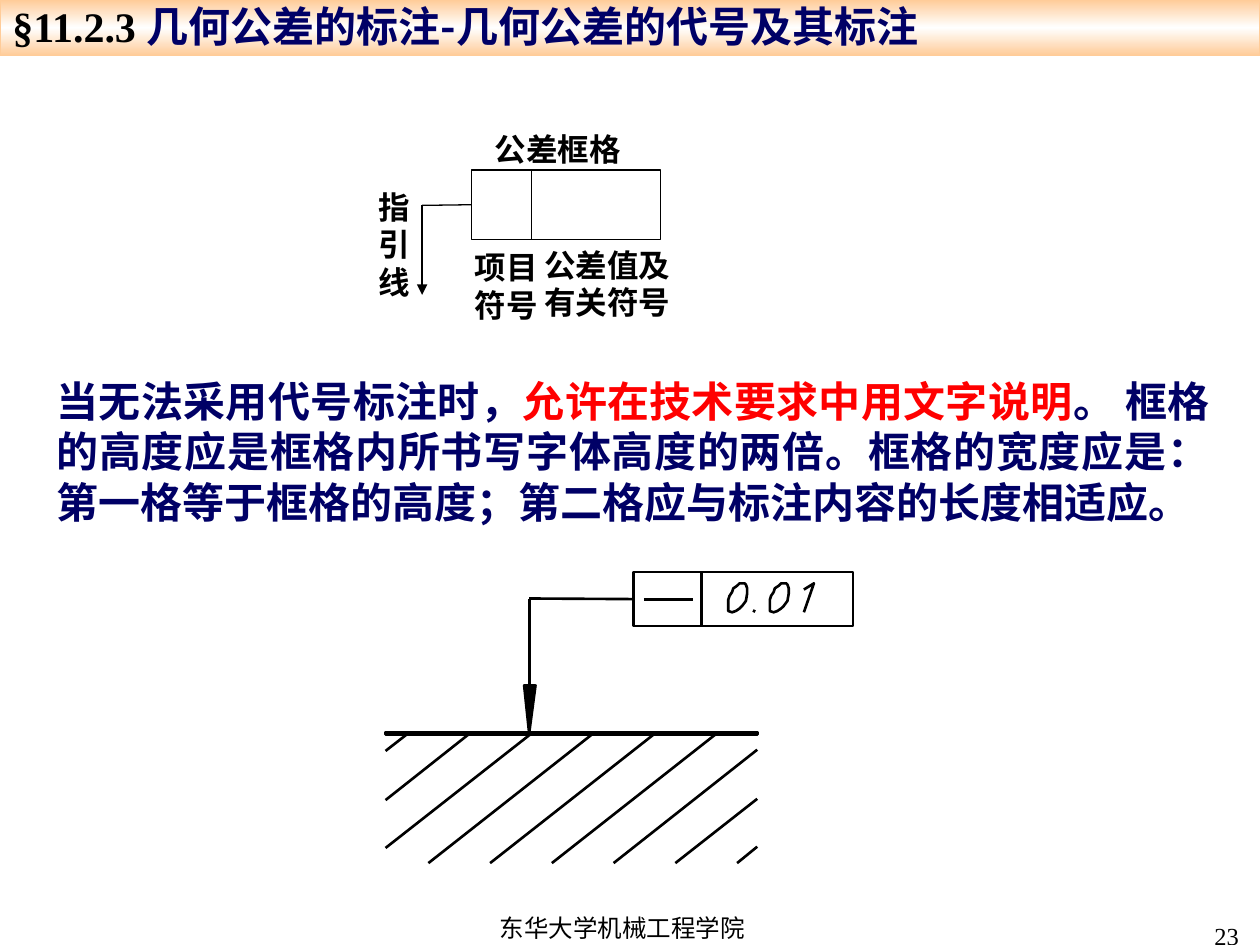
from copy import deepcopy

from pptx import Presentation
from pptx.dml.color import RGBColor
from pptx.enum.shapes import MSO_CONNECTOR, MSO_SHAPE
from pptx.enum.text import PP_ALIGN
from pptx.oxml.ns import qn
from pptx.util import Pt

PX = 9144
BLACK = RGBColor(0x00, 0x00, 0x00)
WHITE = RGBColor(0xFF, 0xFF, 0xFF)
PEACH = RGBColor(0xFF, 0xCC, 0x99)
NAVY = RGBColor(0x00, 0x00, 0x66)
RED = RGBColor(0xFF, 0x00, 0x00)
SERIF, SANS, CJK = "Times New Roman", "Arial", "Noto Sans CJK SC"
RECT = MSO_SHAPE.RECTANGLE
STRAIGHT = MSO_CONNECTOR.STRAIGHT
LEFT, CENTER = PP_ALIGN.LEFT, PP_ALIGN.CENTER
RIGHT, JUSTIFY = PP_ALIGN.RIGHT, PP_ALIGN.JUSTIFY
LEFT_SIDE = 1
THIN, THICK = 0.75, 1.5

ZERO = [(581, 486), (584, 485), (587, 483), (589, 481), (592, 477),
        (593, 471), (593, 467), (592, 464), (591, 463), (587, 463),
        (585, 465), (582, 467), (581, 470), (579, 473), (578, 476),
        (578, 485)]
ONE = [(638, 486), (646, 463), (638, 468)]
ARROW = [(425, 544), (420, 582), (416, 544)]


class Drawing:
    def __init__(self, slide):
        self.s = slide

    def style(self, shape, fill, line, width):
        shape.shadow.inherit = False
        if fill is None:
            shape.fill.background()
        else:
            shape.fill.solid()
            shape.fill.fore_color.rgb = fill
        shape.line.color.rgb = line
        shape.line.width = Pt(width)

    def rect(self, x, y, w, h, fill=None, line=BLACK, width=THICK):
        sp = self.s.shapes.add_shape(RECT, x * PX, y * PX, w * PX, h * PX)
        self.style(sp, fill, line, width)
        return sp

    def band(self, x, y, w, h):
        sp = self.rect(x, y, w, h, line=PEACH, width=THIN)
        sp.fill.gradient()
        sp.fill.gradient_angle = 90
        stops = sp._element.spPr.find(qn("a:gradFill")).find(qn("a:gsLst"))
        stops.append(deepcopy(stops[0]))
        colors = (PEACH, WHITE, PEACH)
        for i, stop in enumerate(sp.fill.gradient_stops):
            stop.position = i / 2
            stop.color.rgb = colors[i]

    def line(self, x1, y1, x2, y2, width=THICK, start=None, arrow=False):
        cx = self.s.shapes.add_connector(STRAIGHT, x1 * PX, y1 * PX, x2 * PX, y2 * PX)
        cx.line.color.rgb = BLACK
        cx.line.width = Pt(width)
        if arrow:
            ln = cx.line._get_or_add_ln()
            ln.append(ln.makeelement(qn("a:tailEnd"), {"type": "triangle"}))
        spPr = cx._element.spPr
        spPr.append(spPr.makeelement(qn("a:effectLst"), {}))
        if start is not None:
            cx.begin_connect(start, LEFT_SIDE)

    def outline(self, points, close=True, fill=None, dx=0):
        pts = [(x + dx, y) for x, y in points]
        builder = self.s.shapes.build_freeform(*pts[0], scale=PX)
        builder.add_line_segments(pts[1:], close=close)
        self.style(builder.convert_to_shape(), fill, BLACK, THICK)

    def text(self, x, y, w, h, paragraphs, size, bold=True, align=LEFT, spacing=None):
        tf = self.s.shapes.add_textbox(x * PX, y * PX, w * PX, h * PX).text_frame
        tf.word_wrap = True
        for i, runs in enumerate(paragraphs):
            p = tf.add_paragraph() if i else tf.paragraphs[0]
            p.alignment = align
            p.line_spacing = spacing
            for words, face, color in runs:
                r = p.add_run()
                r.text = words
                r.font.size = Pt(size)
                r.font.bold = bold
                r.font.color.rgb = color
                r.font.name = face
                rPr = r._r.get_or_add_rPr()
                rPr.append(rPr.makeelement(qn("a:ea"), {"typeface": CJK}))

    def label(self, x, y, w, h, *lines):
        self.text(x, y, w, h, [[(words, SANS, BLACK)] for words in lines], 18)


def draw_frame_legend(d):
    frame = d.rect(374, 135, 150, 55, width=THIN)
    d.line(422, 135, 422, 190, THIN)
    d.line(374, 163, 335, 163, THIN, start=frame)
    d.line(335, 163, 335, 234, THIN, arrow=True)
    d.label(291, 144, 47, 100, "指引线")
    d.label(367, 192, 71, 70, "项目", "符号")
    d.label(422, 190, 126, 70, "公差值及", "有关符号")
    d.label(383, 98, 126, 40, "公差框格")


def draw_hatched_surface(d):
    left, right, top = 306, 601, 582
    run, rise, pitch = 131, 103, 49
    d.rect(left, 581, right - left, 2, fill=BLACK)
    for i in range(9):
        x = 324 + i * pitch
        x1, x2 = max(left, x - run), min(right, x)
        y1, y2 = (round(top + (x - end) * rise / run) for end in (x1, x2))
        d.line(x1, y1, x2, y2)


def draw_straightness_example(d):
    frame = d.rect(503, 454, 174, 43)
    d.line(557, 454, 557, 497)
    d.line(511, 476, 550, 476)
    d.outline(ZERO)
    d.line(598, 486, 599, 484)
    d.outline(ZERO, dx=33)
    d.outline(ONE, close=False)
    d.line(503, 475, 420, 475, start=frame)
    d.line(420, 475, 420, 582)
    d.outline(ARROW, fill=BLACK)


def main():
    prs = Presentation()
    prs.slide_width, prs.slide_height = 1000 * PX, 750 * PX
    d = Drawing(prs.slides.add_slide(prs.slide_layouts[6]))
    d.band(0, 0, 1000, 44)
    d.text(270, 720, 448, 30, [[("东华大学机械工程学院", SERIF, BLACK)]], 14, False, CENTER)
    d.text(829, 726, 164, 24, [[("23", SERIF, BLACK)]], 14, False, RIGHT)
    draw_frame_legend(d)
    d.text(35, 293, 935, 130, [[
        ("当无法采用代号标注时，", CJK, NAVY),
        ("允许在技术要求中用文字说明", CJK, RED),
        ("。 框格的高度应是框格内所书写字体高度的两倍。框格的宽度应是："
         "第一格等于框格的高度；第二格应与标注内容的长度相适应。", CJK, NAVY),
    ]], 24, align=JUSTIFY)
    d.text(0, 0, 1000, 44, [[
        ("§11.2.3 ", SERIF, BLACK),
        ("几何公差的标注-几何公差的代号及其标注", CJK, NAVY),
    ]], 24, spacing=0.9)
    draw_hatched_surface(d)
    draw_straightness_example(d)
    prs.save("out.pptx")


if __name__ == "__main__":
    main()
